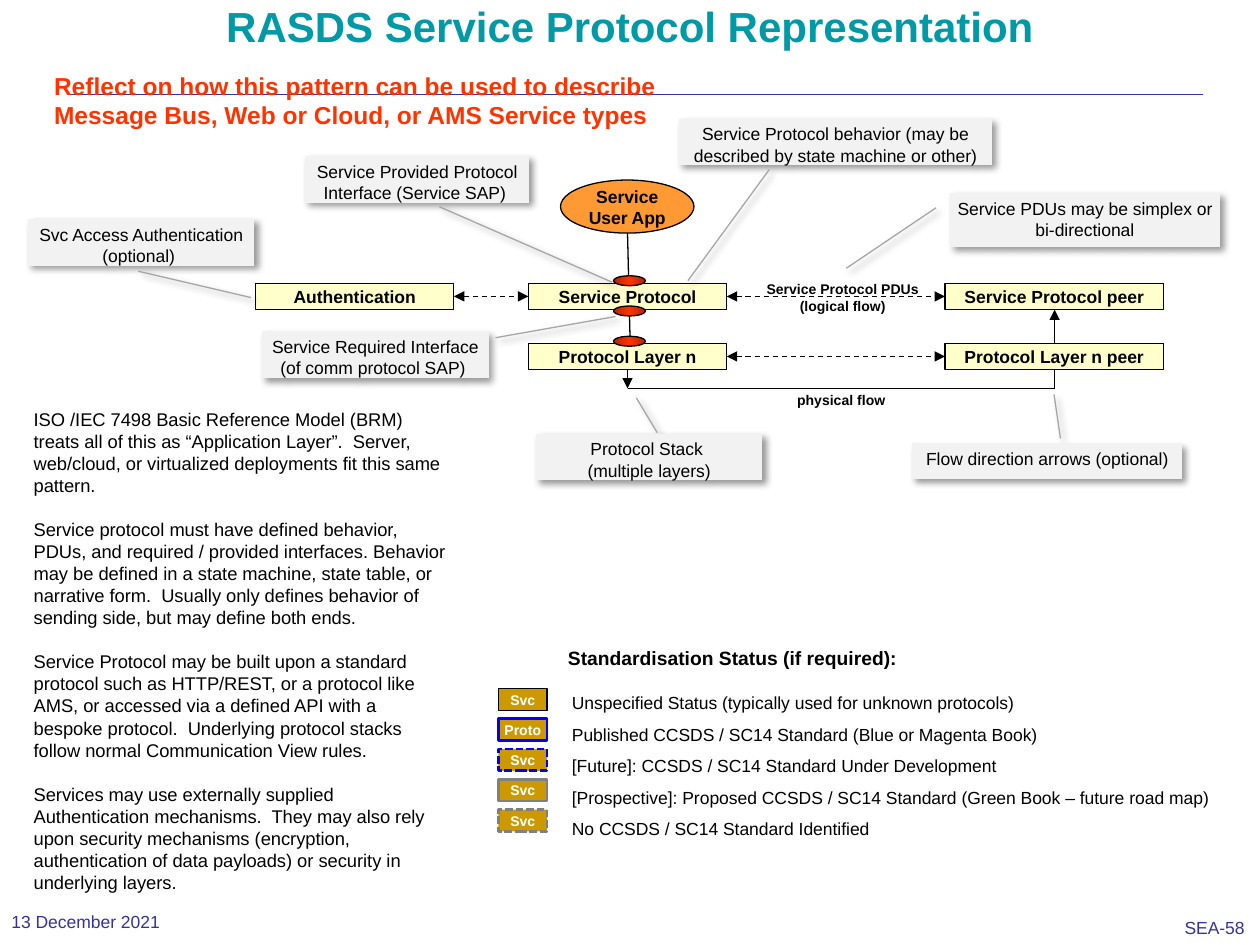
import copy
import pptx
import pptx.util
import pptx.dml.color
import pptx.enum.dml
import pptx.enum.shapes
import pptx.enum.text
import pptx.oxml
import pptx.oxml.ns
from lxml import etree

Cm, Pt = pptx.util.Cm, pptx.util.Pt
RGBColor = pptx.dml.color.RGBColor
Dash = pptx.enum.dml.MSO_LINE
Kind = pptx.enum.shapes.MSO_SHAPE
Align = pptx.enum.text.PP_ALIGN
Anchor = pptx.enum.text.MSO_ANCHOR
qn = pptx.oxml.ns.qn

BLACK, WHITE = RGBColor(0, 0, 0), RGBColor(255, 255, 255)
TEAL = RGBColor(0x00, 0x99, 0xA6)
RED, DARK_RED = RGBColor(0xFF, 0x33, 0x00), RGBColor(0xB6, 0x24, 0x00)
NAVY, BLUE = RGBColor(0x33, 0x33, 0x99), RGBColor(0, 0, 0xFF)
CREAM, ORANGE = RGBColor(0xFF, 0xFF, 0xCC), RGBColor(0xFF, 0x99, 0x33)
GOLD, GRAY = RGBColor(0xCC, 0x99, 0x00), RGBColor(0x80, 0x80, 0x80)
PALE, SILVER = RGBColor(0xF2, 0xF2, 0xF2), RGBColor(0xA6, 0xA6, 0xA6)

TITLE = "RASDS Service Protocol Representation"
PROMPT = ("Reflect on how this pattern can be used to describe "
          "Message Bus, Web or Cloud, or AMS Service types")
NOTES = [
    "ISO /IEC 7498 Basic Reference Model (BRM) treats all of this as “Application Layer”.  "
    "Server, web/cloud, or virtualized deployments fit this same pattern.",
    "Service protocol must have defined behavior, PDUs, and required / provided interfaces. "
    "Behavior may be defined in a state machine, state table, or narrative form.  "
    "Usually only defines behavior of sending side, but may define both ends.",
    "Service Protocol may be built upon a standard protocol such as HTTP/REST, or a protocol "
    "like AMS, or accessed via a defined API with a bespoke protocol.  "
    "Underlying protocol stacks follow normal Communication View rules.",
    "Services may use externally supplied Authentication mechanisms.  They may also rely upon "
    "security mechanisms (encryption, authentication of data payloads) or security in "
    "underlying layers.",
]
# tag, outline, width, dash, meaning
STATUS = [
    ("Svc", BLACK, 0.75, None, "Unspecified Status (typically used for unknown protocols)"),
    ("Proto", BLUE, 1.5, None, "Published CCSDS / SC14 Standard (Blue or Magenta Book)"),
    ("Svc", BLUE, 1.5, Dash.SQUARE_DOT, "[Future]: CCSDS / SC14 Standard Under Development"),
    ("Svc", GRAY, 1.5, None,
     "[Prospective]: Proposed CCSDS / SC14 Standard (Green Book – future road map)"),
    ("Svc", GRAY, 1.5, Dash.SQUARE_DOT, "No CCSDS / SC14 Standard Identified"),
]
# lines, box, leader start, leader end
CALLS = [
    (["Service PDUs may be simplex or bi-directional"],
     (19.15, 3.89, 5.44, 1.09), (18.87, 4.19), (17.06, 5.41)),
    (["Service Protocol behavior (may be described by state machine or other)"],
     (13.69, 2.39, 6.3, 0.94), (15.51, 3.42), (13.87, 5.66)),
    (["Service Provided Protocol Interface (Service SAP) "],
     (6.15, 3.15, 4.52, 0.94), (8.86, 4.17), (12.34, 5.69)),
    (["Service Required Interface (of comm protocol SAP) "],
     (5.28, 6.68, 4.57, 0.94), (9.99, 6.81), (12.41, 6.38)),
    (["Flow direction arrows (optional)"],
     (18.39, 8.94, 5.44, 0.71), (21.38, 8.84), (21.25, 7.95)),
    (["Protocol Stack ", "(multiple layers)"],
     (10.8, 8.74, 4.57, 0.94), (13.25, 8.72), (12.83, 8.02)),
    (["Svc Access Authentication (optional) "],
     (0.56, 4.42, 4.57, 0.94), (2.79, 5.47), (5.06, 6.0)),
]
# left and width of each column, top of each row
COLS = {"auth": (5.15, 4), "main": (10.65, 4), "peer": (19.05, 4.4)}
ROWS = (5.71, 6.92)
HIGH = 0.53
BOXES = [
    ("Authentication", "auth", 0), ("Service Protocol", "main", 0),
    ("Service Protocol peer", "peer", 0), ("Protocol Layer n", "main", 1),
    ("Protocol Layer n peer", "peer", 1),
]
LINKS = [("auth", "main", 0), ("main", "peer", 0), ("main", "peer", 1)]
STEM, RISE, BASE = 12.65, 21.26, 7.83

deck = pptx.Presentation()
deck.slide_width, deck.slide_height = Cm(25.4), Cm(19.05)
slide = deck.slides.add_slide(deck.slide_layouts[5])
shapes = slide.shapes


def write(shape, lines, size, color=BLACK, bold=False, align=Align.LEFT,
          pad=(0.25, 0.13), anchor=Anchor.TOP, wrap=True, gap=0, lead=None):
    frame = shape.text_frame
    frame.word_wrap = wrap
    frame.auto_size = pptx.enum.text.MSO_AUTO_SIZE.NONE
    frame.vertical_anchor = anchor
    frame.margin_left = frame.margin_right = Cm(pad[0])
    frame.margin_top = frame.margin_bottom = Cm(pad[1])
    frame.text = "\n".join(lines)
    for i, para in enumerate(frame.paragraphs):
        para.alignment = align
        para.space_before = Pt(gap if i else 0)
        if lead:
            para.line_spacing = lead
        font = para.font
        font.name, font.size, font.bold = "Arial", Pt(size), bold
        font.color.rgb = color


def label(box, lines, size, **look):
    write(shapes.add_textbox(*map(Cm, box)), lines, size, **look)


def block(kind, box, fill, edge=BLACK, width=0.75, dash=None):
    shape = shapes.add_shape(kind, *map(Cm, box))
    shape.shadow.inherit = False
    shape.fill.solid()
    shape.fill.fore_color.rgb = fill
    shape.line.color.rgb = edge
    shape.line.width = Pt(width)
    if dash:
        shape.line.dash_style = dash
    return shape


def link(start, end, color=BLACK, width=0.75, dash=None, heads=()):
    """Draw a line; heads may hold headEnd (start) and tailEnd (end)."""
    line = shapes.add_connector(pptx.enum.shapes.MSO_CONNECTOR.STRAIGHT,
                                *map(Cm, start + end))
    line.line.color.rgb = color
    line.line.width = Pt(width)
    if dash:
        line.line.dash_style = dash
    props = line._element.spPr
    for head in heads:
        etree.SubElement(props.find(qn("a:ln")), qn("a:" + head), type="triangle")
    etree.SubElement(props, qn("a:effectLst"))


def port(top):
    """Add an interface point, dark at both sides and bright in the middle."""
    shape = block(Kind.OVAL, (12.37, top, 0.64, 0.2), RED)
    shape.fill.gradient()
    shape.fill.gradient_angle = 0
    stops = shape._element.spPr.find(".//" + qn("a:gsLst"))
    stops.insert(1, copy.deepcopy(stops[0]))
    for stop, spot, tint in zip(shape.fill.gradient_stops, (0, 0.5, 1),
                                (DARK_RED, RED, DARK_RED)):
        stop.position = spot
        stop.color.rgb = tint


def call(lines, box, start, end):
    shape = block(Kind.LINE_CALLOUT_1_NO_BORDER, box, PALE, SILVER)
    left, top, wide, high = box
    for i, (x, y) in enumerate((start, end)):
        shape.adjustments[2 * i] = (y - top) / high
        shape.adjustments[2 * i + 1] = (x - left) / wide
    effect = shape._element.spPr.find(qn("a:effectLst"))
    shade = etree.SubElement(effect, qn("a:outerShdw"), blurRad=str(Pt(4)),
                             dist=str(Pt(3)), dir="2700000", algn="tl", rotWithShape="0")
    tint = etree.SubElement(shade, qn("a:srgbClr"), val="000000")
    etree.SubElement(tint, qn("a:alpha"), val="40000")
    write(shape, lines, 10, align=Align.CENTER, pad=(0.1, 0.1))


# Frame of the slide
link((1.35, 1.9), (24.26, 1.9), NAVY, 0.13)
title = shapes.title
title.left, title.top, title.width, title.height = map(Cm, (1.27, 0, 22.86, 3.18))
write(title, [TITLE], 24, color=TEAL, bold=True, align=Align.CENTER, lead=0.9)
label((23.65, 18.39, 1.73, 0.66), ["SEA-58"], 10, color=NAVY, pad=(0.23, 0.1), wrap=False)
label((0, 18.21, 4.8, 0.74), ["13 December 2021"], 10, color=NAVY,
      pad=(0.23, 0.13), anchor=Anchor.MIDDLE, wrap=False)
label((0.84, 1.3, 12.7, 1.45), [PROMPT], 14, color=RED, bold=True)
label((0.43, 8.1, 8.89, 10.13), NOTES, 10.5, gap=12.6)

# Protocol diagram
link((STEM, 4.7), (12.7, 6.78))
for name, col, row in BOXES:
    left, wide = COLS[col]
    write(block(Kind.RECTANGLE, (left, ROWS[row], wide, HIGH), CREAM), [name], 10,
          bold=True, align=Align.CENTER, pad=(0.05, 0.05), anchor=Anchor.MIDDLE)
for one, two, row in LINKS:
    y = ROWS[row] + HIGH / 2
    link((sum(COLS[one]), y), (COLS[two][0], y), dash=Dash.DASH,
         heads=("headEnd", "tailEnd"))
low = ROWS[1] + HIGH
link((STEM, low), (STEM, BASE), heads=("tailEnd",))
link((STEM, BASE), (RISE, BASE))
link((RISE, BASE), (RISE, low))
link((RISE, ROWS[1]), (RISE, ROWS[0] + HIGH), heads=("tailEnd",))
for i in range(3):
    port(5.56 + 0.61 * i)
write(block(Kind.OVAL, (11.3, 3.63, 2.69, 1.07), ORANGE), ["Service User App"], 10,
      bold=True, align=Align.CENTER, pad=(0, 0), anchor=Anchor.MIDDLE)
label((15.44, 5.66, 3.1, 0.69), ["Service Protocol PDUs", "(logical flow)"], 8,
      bold=True, align=Align.CENTER, pad=(0, 0), wrap=False)
label((15.82, 7.77, 2.31, 0.6), ["physical flow"], 8, bold=True, wrap=False)
for item in CALLS:
    call(*item)

# Status legend
label((11.2, 12.9, 7.19, 0.74), ["Standardisation Status (if required):"], 11,
      bold=True, wrap=False)
label((11.28, 13.61, 13.44, 3.38), [row[-1] for row in STATUS], 10, wrap=False, lead=Pt(18))
for i, (tag, edge, width, dash, _) in enumerate(STATUS):
    write(block(Kind.RECTANGLE, (10.05, 13.88 + 0.61 * i, 0.98, 0.44), GOLD, edge, width, dash),
          [tag], 8, color=WHITE, bold=True, align=Align.CENTER, pad=(0.05, 0.05),
          anchor=Anchor.MIDDLE)

deck.save("out.pptx")
